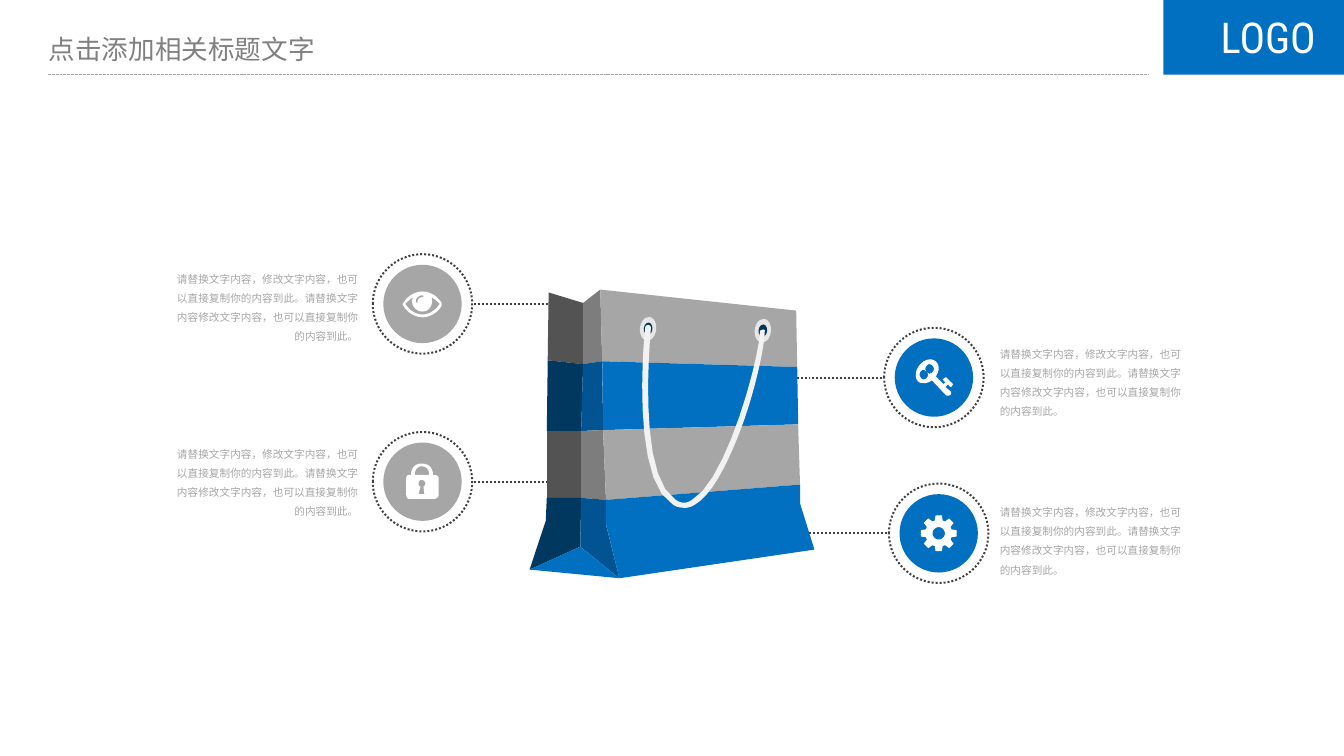
from dataclasses import dataclass
from math import cos, radians, sin
from typing import NamedTuple

from lxml import etree
from pptx import Presentation
from pptx.dml.color import RGBColor
from pptx.enum.dml import MSO_LINE
from pptx.enum.shapes import MSO_CONNECTOR, MSO_SHAPE
from pptx.enum.text import MSO_ANCHOR, MSO_AUTO_SIZE, PP_ALIGN
from pptx.oxml.ns import qn
from pptx.util import Inches, Pt

LEFT, RIGHT = PP_ALIGN.LEFT, PP_ALIGN.RIGHT
TOP, NO_AUTOSIZE = MSO_ANCHOR.TOP, MSO_AUTO_SIZE.NONE
OVAL, RECTANGLE, STRAIGHT = MSO_SHAPE.OVAL, MSO_SHAPE.RECTANGLE, MSO_CONNECTOR.STRAIGHT
DOTTED, DASHED = MSO_LINE.ROUND_DOT, MSO_LINE.SQUARE_DOT


@dataclass(frozen=True)
class Theme:
    blue: str = "0170C1"
    blue_mid: str = "015491"
    blue_dark: str = "003860"
    grey: str = "A6A6A6"
    grey_mid: str = "7D7D7D"
    grey_dark: str = "535353"
    heading: str = "808080"
    dots: str = "404040"
    eyelet: str = "E6E6E6"
    handle: str = "F2F2F2"
    white: str = "FFFFFF"
    cjk_font: str = "Noto Sans CJK SC"
    caption_font: str = "Arial"
    logo_font: str = "Roboto Condensed"
    title_size: int = 20
    caption_size: int = 8
    logo_size: int = 32


THEME = Theme()
CAPTION = ("请替换文字内容，修改文字内容，也可以直接复制你的内容到此。"
           "请替换文字内容修改文字内容，也可以直接复制你的内容到此。")
DISC, RING, CONNECTOR_GAP = 0.82, 1.04, 0.54
CAPTION_WIDTH, CAPTION_HEIGHT = 1.94, 0.81


class Callout(NamedTuple):
    x: float
    y: float
    bag_x: float
    caption_x: float
    caption_y: float
    align: PP_ALIGN
    color: str
    icon: list


def gear_icon() -> list:
    profile = [(14, -17), (19, -10), (19, 10), (14, 17)]
    teeth = [(r * cos(radians(45 * tooth + turn)), r * sin(radians(45 * tooth + turn)))
             for tooth in range(8) for r, turn in profile]
    hub = [(6.5 * cos(radians(a)), 6.5 * sin(radians(a))) for a in range(0, 360, 15)]
    return [teeth, hub]


# Icon contours in hundredths of an inch around the badge centre:
# a pair is a corner, six numbers are a cubic curve
EYE = [
    [(20, 2), (16, 9, 8, 14, 0, 14), (-8, 14, -16, 9, -20, 2), (-21, 0), (-20, -1),
     (-16, -8, -8, -13, 0, -13), (8, -13, 16, -8, 20, -1)],
    [(9, -7), (10, -6, 10, -4, 10, -3), (10, 3, 6, 8, 0, 8), (-6, 8, -11, 3, -11, -3),
     (-11, -4, -10, -6, -9, -7), (-12, -6, -15, -3, -18, 0), (-14, 6, -8, 11, 0, 11),
     (8, 11, 14, 6, 18, 0), (15, -3, 12, -6, 9, -7)],
    [(0, -9), (-4, -9, -7, -6, -7, -3), (-7, -2, -6, -1, -6, -1), (-5, -1, -5, -2, -5, -3),
     (-5, -5, -3, -7, 0, -7), (0, -7, 1, -7, 1, -8), (1, -9, 0, -9, 0, -9)],
]
LOCK = [
    [(12, -7), (11, -7), (11, -15, 6, -19, -1, -19), (-7, -19, -12, -15, -12, -7), (-14, -7),
     (-16, -7, -17, -6, -17, -3), (-17, 13), (-17, 16, -16, 18, -14, 18), (12, 18),
     (15, 18, 17, 16, 17, 13), (17, -3), (17, -6, 15, -7, 12, -7)],
    [(2, 13), (-4, 13), (-2, 5), (-4, 5, -4, 3, -4, 2), (-4, 0, -3, -2, -1, -2),
     (1, -2, 3, 0, 3, 2), (3, 3, 2, 5, 1, 5)],
    [(-8, -7), (-8, -14, -4, -16, -1, -16), (3, -16, 7, -14, 7, -7)],
]
KEY = [
    [(18, 10), (17, 10, 15, 8, 15, 7), (12, 10), (18, 15), (18, 16, 18, 16, 18, 17),
     (18, 18, 16, 19, 15, 19), (13, 19), (-2, 3), (-5, 5, -8, 6, -11, 6),
     (-16, 6, -19, 3, -19, -3), (-19, -10, -12, -19, -4, -19), (1, -19, 5, -15, 5, -10),
     (5, -6, 3, -3, 2, -1), (10, 7), (12, 5), (9, 2), (12, 0), (13, 0), (20, 7)],
    [(-5, -14), (-7, -14, -9, -11, -9, -9), (-9, -8, -9, -8, -8, -7), (-9, -7, -10, -8, -11, -8),
     (-13, -8, -15, -6, -15, -3), (-15, -1, -13, 2, -11, 2), (-8, 2, -6, -1, -6, -3),
     (-6, -4, -6, -4, -7, -5), (-6, -5, -5, -4, -5, -4), (-2, -4, 0, -7, 0, -9),
     (0, -11, -2, -14, -5, -14)],
]
CALLOUTS = [
    Callout(4.42, 3.18, 5.76, 1.81, 2.79, RIGHT, THEME.grey, EYE),
    Callout(4.42, 5.04, 5.76, 1.81, 4.62, RIGHT, THEME.grey, LOCK),
    Callout(9.77, 3.95, 8.16, 10.46, 3.57, LEFT, THEME.blue, KEY),
    Callout(9.82, 5.58, 8.22, 10.46, 5.23, LEFT, THEME.blue, gear_icon()),
]

# Upright bag edges, left to right: four band corners, then the foot
BAG_EDGES = [
    [(5.74, 3.06), (5.73, 3.77), (5.72, 4.51), (5.72, 5.21), (5.71, 5.45), (5.54, 5.96)],
    [(6.1, 3.17), (6.1, 3.81), (6.08, 4.51), (6.08, 5.21), (6.07, 5.72)],
    [(6.28, 3.03), (6.3, 3.78), (6.31, 4.5), (6.34, 5.23), (6.34, 5.49), (6.48, 6.05)],
    [(8.33, 3.25), (8.34, 3.84), (8.35, 4.44), (8.37, 5.07), (8.37, 5.27), (8.52, 5.75)],
]
GREY_BAND = (THEME.grey_dark, THEME.grey_mid, THEME.grey)
BLUE_BAND = (THEME.blue_dark, THEME.blue_mid, THEME.blue)
HANDLE = [
    (7.13, 5.31), (7.1, 5.31, 7.07, 5.3, 7.04, 5.28), (6.59, 5.02, 6.74, 3.49, 6.75, 3.43),
    (6.75, 3.41, 6.77, 3.4, 6.78, 3.4), (6.8, 3.4, 6.81, 3.42, 6.81, 3.43),
    (6.81, 3.45, 6.65, 4.98, 7.07, 5.23), (7.13, 5.27, 7.18, 5.27, 7.24, 5.23),
    (7.61, 5.02, 7.95, 3.71, 7.95, 3.47), (7.95, 3.46, 7.96, 3.45, 7.98, 3.45),
    (7.99, 3.44, 8.01, 3.46, 8, 3.47), (8, 3.6, 7.92, 4, 7.79, 4.38),
    (7.67, 4.72, 7.48, 5.16, 7.27, 5.28), (7.22, 5.31, 7.18, 5.32, 7.13, 5.31),
]


def flatten(contour: list, steps: int = 10) -> list:
    points = [contour[0]]
    for segment in contour[1:]:
        if len(segment) == 2:
            points.append(segment)
            continue
        start, controls = points[-1], (segment[0:2], segment[2:4], segment[4:6])
        for step in range(1, steps + 1):
            t = step / steps
            weights = ((1 - t) ** 3, 3 * t * (1 - t) ** 2, 3 * t * t * (1 - t), t ** 3)
            points.append(tuple(sum(w * p[axis] for w, p in zip(weights, (start, *controls)))
                                for axis in (0, 1)))
    return points


def paint(shape, color: str) -> None:
    shape.shadow.inherit = False
    shape.fill.solid()
    shape.fill.fore_color.rgb = RGBColor.from_string(color)
    shape.line.fill.background()


def stroke(line, color: str, width: float, dash: MSO_LINE) -> None:
    line.color.rgb = RGBColor.from_string(color)
    line.width, line.dash_style = Pt(width), dash


def add_outline(slide, contours: list, color: str, x: float = 0, y: float = 0,
                unit: float = 1) -> None:
    builder = None
    for contour in contours:
        points = [(Inches(x + px * unit), Inches(y + py * unit)) for px, py in flatten(contour)]
        if builder is None:
            builder = slide.shapes.build_freeform(*points[0], scale=1.0)
        else:
            builder.move_to(*points[0])
        builder.add_line_segments(points[1:], close=True)
    paint(builder.convert_to_shape(), color)


def add_oval(slide, x: float, y: float, width: float, height: float):
    return slide.shapes.add_shape(OVAL, Inches(x - width / 2), Inches(y - height / 2),
                                  Inches(width), Inches(height))


def add_line(slide, x1: float, x2: float, y: float, color: str, width: float,
             dash: MSO_LINE) -> None:
    connector = slide.shapes.add_connector(STRAIGHT, Inches(x1), Inches(y), Inches(x2), Inches(y))
    stroke(connector.line, color, width, dash)
    etree.SubElement(connector._element.spPr, qn("a:effectLst"))


def write_text(shape, text: str, size: int, font: str, color: str, align: PP_ALIGN = LEFT,
               spacing: float = 1.0, inset: tuple = (0.11, 0.05), wrap: bool = True) -> None:
    side, end = map(Inches, inset)
    frame_format = {"margin_left": side, "margin_right": side, "margin_top": end,
                    "margin_bottom": end, "word_wrap": wrap, "auto_size": NO_AUTOSIZE,
                    "vertical_anchor": TOP}
    for name, value in frame_format.items():
        setattr(shape.text_frame, name, value)
    paragraph = shape.text_frame.paragraphs[0]
    paragraph.alignment, paragraph.line_spacing = align, spacing
    run = paragraph.add_run()
    run.text = text
    for name, value in {"size": Pt(size), "name": font, "bold": False}.items():
        setattr(run.font, name, value)
    run.font.color.rgb = RGBColor.from_string(color)
    etree.SubElement(run._r.get_or_add_rPr(), qn("a:ea"), typeface=THEME.cjk_font)


def add_callout(slide, callout: Callout) -> None:
    x, y = callout.x, callout.y
    ring_x = x + CONNECTOR_GAP if callout.bag_x > x else x - CONNECTOR_GAP
    add_line(slide, ring_x, callout.bag_x, y, THEME.dots, 1.5, DOTTED)
    paint(add_oval(slide, x, y, DISC, DISC), callout.color)
    ring = add_oval(slide, x, y, RING, RING)
    ring.shadow.inherit = False
    ring.fill.background()
    stroke(ring.line, THEME.dots, 1.5, DOTTED)
    add_outline(slide, callout.icon, THEME.white, x, y, 0.01)
    caption = slide.shapes.add_textbox(Inches(callout.caption_x), Inches(callout.caption_y),
                                       Inches(CAPTION_WIDTH), Inches(CAPTION_HEIGHT))
    write_text(caption, CAPTION, THEME.caption_size, THEME.caption_font, THEME.grey,
               callout.align, 1.5, (0, 0))


def add_bag(slide) -> None:
    for band, shades in enumerate((GREY_BAND, BLUE_BAND) * 2):
        corners = slice(band, band + 2 if band < 3 else None)
        for left, right, shade in zip(BAG_EDGES, BAG_EDGES[1:], shades):
            add_outline(slide, [left[corners] + right[corners][::-1]], shade)
    add_outline(slide, [[edge[-1] for edge in BAG_EDGES[:3]]], THEME.blue)
    for x, y in ((7.98, 3.46), (6.78, 3.44)):
        for width, height, color in ((0.17, 0.25, THEME.eyelet), (0.09, 0.13, THEME.blue_dark)):
            eyelet = add_oval(slide, x, y, width, height)
            eyelet.rotation = 6.1
            paint(eyelet, color)
    add_outline(slide, [HANDLE], THEME.handle)


def add_header(slide) -> None:
    title = slide.shapes.title
    title.left, title.top, title.width, title.height = map(Inches, (0.4, 0.29, 3.35, 0.41))
    write_text(title, "点击添加相关标题文字", THEME.title_size, THEME.cjk_font, THEME.heading)
    add_line(slide, 0.5, 12.01, 0.78, THEME.grey, 0.75, DASHED)
    paint(slide.shapes.add_shape(RECTANGLE, *map(Inches, (12.17, 0, 1.89, 0.78))), THEME.blue)
    logo = slide.shapes.add_textbox(*map(Inches, (12.66, 0.07, 1.02, 0.58)))
    write_text(logo, "LOGO", THEME.logo_size, THEME.logo_font, THEME.white, wrap=False)


def main() -> None:
    presentation = Presentation()
    presentation.slide_width, presentation.slide_height = Inches(14.06), Inches(7.91)
    slide = presentation.slides.add_slide(presentation.slide_layouts[5])
    for callout in CALLOUTS:
        add_callout(slide, callout)
    add_bag(slide)
    add_header(slide)
    presentation.save("out.pptx")


if __name__ == "__main__":
    main()
